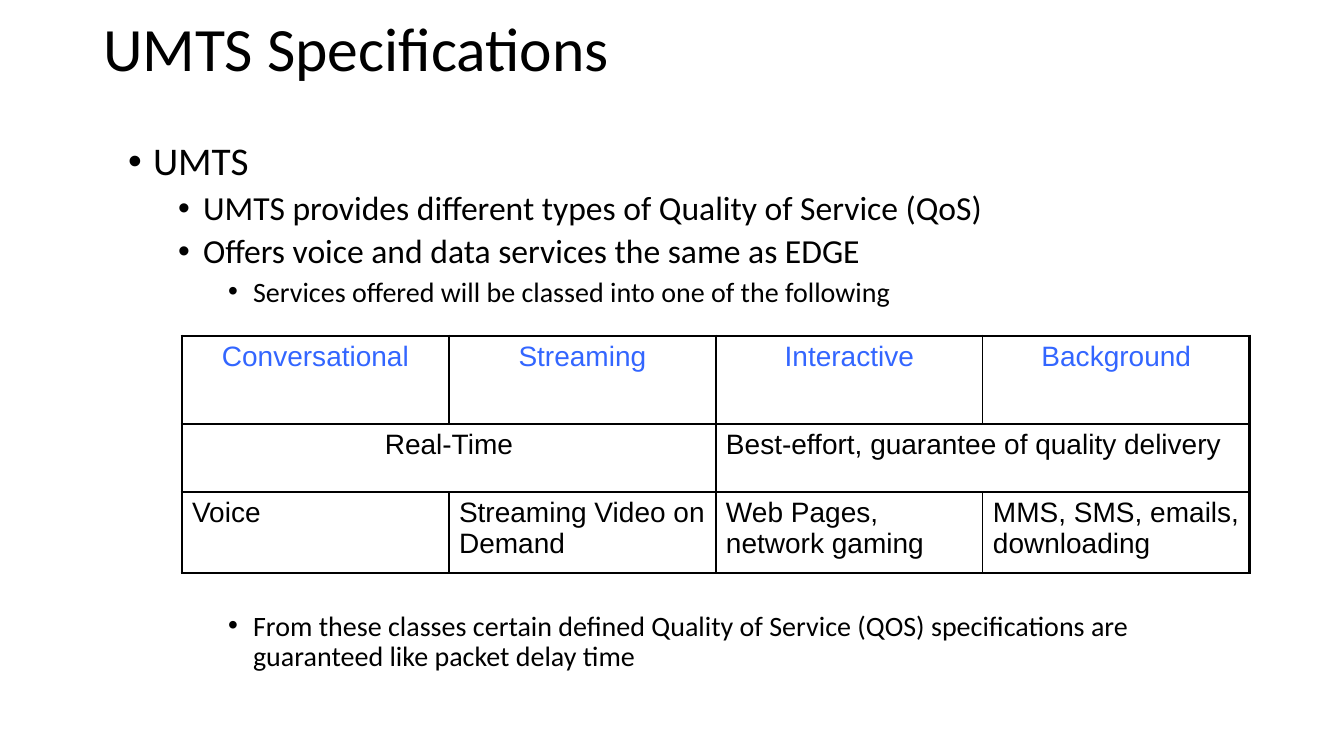
"""Build the UMTS Specifications slide."""
from lxml.etree import SubElement
from pptx import Presentation
from pptx.dml.color import RGBColor
from pptx.enum.text import MSO_ANCHOR as Anchor, MSO_AUTO_SIZE as AutoSize, PP_ALIGN as Align
from pptx.oxml import parse_xml
from pptx.oxml.ns import nsdecls, qn
from pptx.util import Emu, Pt

EMU_PER_PX = 914400 / 100.8
COLORS = {"text": "000000", "heading": "3366FF", "border": "000000"}
PLAIN_TABLE = "{2D5ABB26-0587-4C30-8999-92F81FD0307C}"
INDENT = 25
BULLETS = [
    (0, 28, 0, "UMTS"),
    (1, 24, 5, "UMTS provides different types of Quality of Service (QoS)"),
    (1, 24, 5, "Offers voice and data services the same as EDGE"),
    (2, 20, 5, "Services offered will be classed into one of the following"),
    (2, 20, 217, "From these classes certain defined Quality of Service (QOS) "
                 "specifications are guaranteed like packet delay time"),
]
COLUMN_WIDTH = 267
ROW_HEIGHTS = [88, 68, 81]
CELLS = [
    [(1, Align.CENTER, "Conversational"), (1, Align.CENTER, "Streaming"),
     (1, Align.CENTER, "Interactive"), (1, Align.CENTER, "Background")],
    [(2, Align.CENTER, "Real-Time"),
     (2, Align.LEFT, "Best-effort, guarantee of quality delivery")],
    [(1, Align.LEFT, "Voice"), (1, Align.LEFT, "Streaming Video on Demand"),
     (1, Align.LEFT, "Web Pages, network gaming"),
     (1, Align.LEFT, "MMS, SMS, emails, downloading")],
]


def px(value):
    return Emu(round(value * EMU_PER_PX))


def place(box, left, top, width, height):
    box.left, box.top, box.width, box.height = map(px, (left, top, width, height))


def add_span(para, text, size, font, color):
    span = para.add_run()
    span.text = text
    span.font.size = Pt(size)
    span.font.name = font
    span.font.color.rgb = RGBColor.from_string(COLORS[color])


def fill_title(box, text):
    place(box, 93, 8, 1159, 87)
    box.text_frame.auto_size = AutoSize.NONE
    box.text_frame.vertical_anchor = Anchor.MIDDLE
    para = box.text_frame.paragraphs[0]
    para.alignment = Align.LEFT
    para.line_spacing = 0.9
    add_span(para, text, 44, "Calibri", "text")


def fill_bullets(box):
    place(box, 118, 137, 1057, 555)
    frame = box.text_frame
    frame.auto_size = AutoSize.NONE
    for index, (level, size, space, text) in enumerate(BULLETS):
        para = frame.add_paragraph() if index else frame.paragraphs[0]
        para.level = level
        para.line_spacing = 0.9
        para.space_before = Pt(space)
        props = para._p.get_or_add_pPr()
        props.set("marL", str(px(INDENT * (2 * level + 1))))
        props.set("indent", str(-px(INDENT)))
        SubElement(props, qn("a:buFont"), typeface="Arial")
        SubElement(props, qn("a:buChar"), char="•")
        add_span(para, text, size, "Calibri", "text")


def set_borders(cell, thick_edges):
    props = cell._tc.get_or_add_tcPr()
    for index, edge in enumerate("LRTB"):
        width = Pt(2.25 if edge in thick_edges else 1)
        props.insert(index, parse_xml(
            f'<a:ln{edge} {nsdecls("a")} w="{width}"><a:solidFill>'
            f'<a:srgbClr val="{COLORS["border"]}"/></a:solidFill></a:ln{edge}>'))


def outer_edges(row, first, last):
    tests = {"L": first == 0, "R": last == 3, "T": row == 0, "B": row == len(CELLS) - 1}
    return [edge for edge, is_outer in tests.items() if is_outer]


def add_services_table(page):
    shape = page.shapes.add_table(len(CELLS), 4, px(182), px(336),
                                  px(4 * COLUMN_WIDTH), px(sum(ROW_HEIGHTS)))
    table = shape.table
    table.first_row = table.horz_banding = False
    table._tbl.tblPr.find(qn("a:tableStyleId")).text = PLAIN_TABLE
    for column in table.columns:
        column.width = px(COLUMN_WIDTH)
    for row, height in enumerate(ROW_HEIGHTS):
        table.rows[row].height = px(height)
        first = 0
        for columns, align, text in CELLS[row]:
            last = first + columns - 1
            cell = table.cell(row, first)
            if columns > 1:
                cell.merge(table.cell(row, last))
            cell.fill.background()
            set_borders(cell, outer_edges(row, first, last))
            para = cell.text_frame.paragraphs[0]
            para.alignment = align
            add_span(para, text, 20, "Arial", "text" if row else "heading")
            first = last + 1


def main():
    deck = Presentation()
    deck.slide_width, deck.slide_height = px(1344), px(756)
    page = deck.slides.add_slide(deck.slide_layouts[1])
    fill_title(page.shapes.title, "UMTS Specifications")
    fill_bullets(page.placeholders[1])
    add_services_table(page)
    deck.save("out.pptx")


if __name__ == "__main__":
    main()
